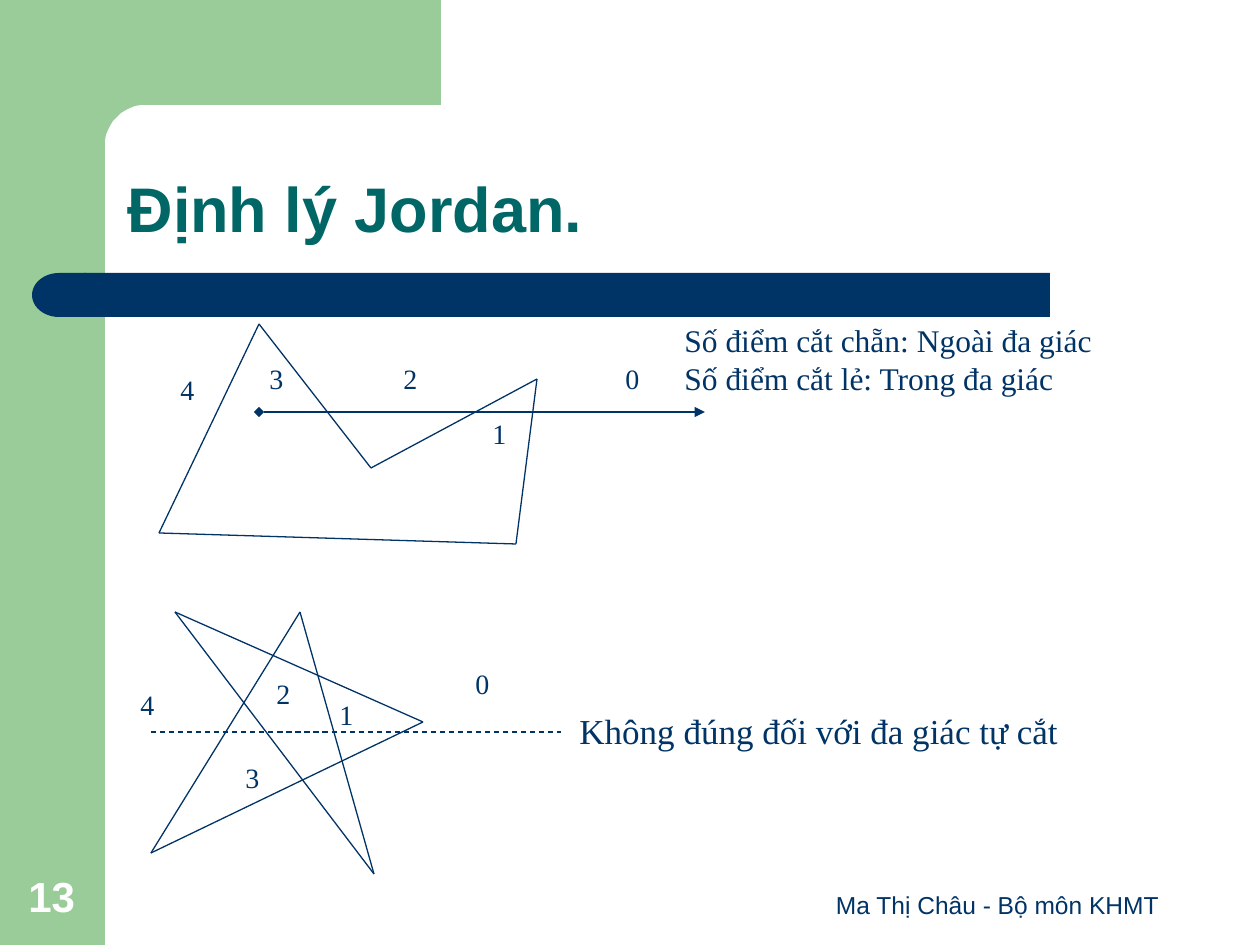
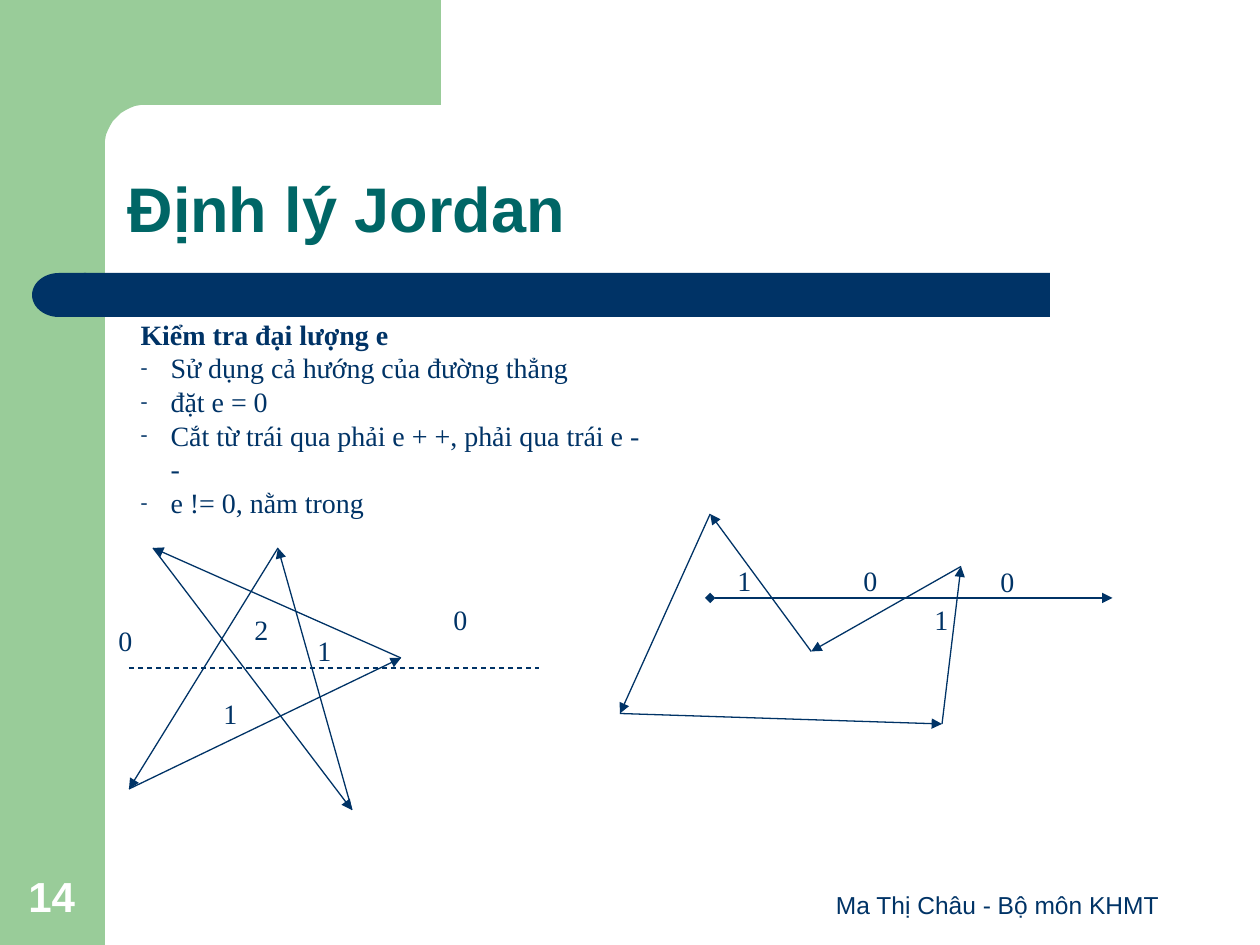
from math import cos, pi, sin

from pptx import Presentation
from pptx.dml.color import RGBColor
from pptx.enum.dml import MSO_LINE_DASH_STYLE as Dash
from pptx.enum.shapes import MSO_CONNECTOR as Connector, MSO_SHAPE as Preset
from pptx.enum.text import MSO_ANCHOR as Anchor, MSO_AUTO_SIZE as AutoSize, PP_ALIGN as Align
from pptx.oxml.ns import qn
from pptx.oxml.xmlchemy import OxmlElement
from pptx.util import Emu, Pt

EMU_PER_PX = 914400 / 126
NAVY = RGBColor(0x00, 0x33, 0x66)
TEAL = RGBColor(0x00, 0x66, 0x66)
GREEN = RGBColor(0x99, 0xCC, 0x99)
WHITE = RGBColor(0xFF, 0xFF, 0xFF)
SANS = "Arial"
SERIF = "Times New Roman"
FOOTER = "Ma Thị Châu - Bộ môn KHMT"
TITLE_ONLY, TITLE_AND_BODY = 5, 1
LABEL_SIZE = (39, 47)

STAR_POINTS = [(0, 241), (272, 110), (24, 0), (223, 262), (149, 0)]
STAR_LABEL_PLACES = [(312, 48), (176, 79), (113, 58), (82, 142), (-23, 69)]
STAR_RAY = [(0, 120), (410, 120)]
POLYGON_SIZE = (378, 220)
POLYGON_POINTS = [(0, 209), (357, 220), (378, 55), (212, 144), (100, 0)]
POLYGON_RAY = [(100, 88), (546, 88)]


def px(length):
    return Emu(round(length * EMU_PER_PX))


def style_text(text_frame, size, color, font=SERIF, bold=False):
    for paragraph in text_frame.paragraphs:
        for run in paragraph.runs:
            run.font.size = Pt(size)
            run.font.name = font
            run.font.bold = bold
            run.font.color.rgb = color


def place(shape, box):
    shape.left, shape.top, shape.width, shape.height = map(px, box)


def add_text(slide, box, text, size, color=NAVY, font=SERIF, bold=False,
             anchor=Anchor.TOP, align=Align.LEFT, wrap=False):
    text_frame = slide.shapes.add_textbox(*map(px, box)).text_frame
    text_frame.word_wrap = wrap
    text_frame.vertical_anchor = anchor
    text_frame.text = text
    for paragraph in text_frame.paragraphs:
        paragraph.alignment = align
    style_text(text_frame, size, color, font, bold)


def paint(shape, color):
    shape.shadow.inherit = False
    shape.fill.solid()
    shape.fill.fore_color.rgb = color
    shape.line.fill.background()


def add_block(slide, preset, box, color):
    shape = slide.shapes.add_shape(preset, *map(px, box))
    paint(shape, color)
    return shape


def add_line(slide, start, end, head=None, tail=None, dash=None):
    connector = slide.shapes.add_connector(Connector.STRAIGHT, *map(px, (*start, *end)))
    connector.line.color.rgb = NAVY
    connector.line.width = Pt(0.75)
    if dash:
        connector.line.dash_style = dash
    properties = connector._element.spPr
    outline = properties.find(qn("a:ln"))
    for tag, kind in (("a:headEnd", head), ("a:tailEnd", tail)):
        if kind:
            arrowhead = OxmlElement(tag)
            arrowhead.set("type", kind)
            outline.append(arrowhead)
    properties.append(OxmlElement("a:effectLst"))


def add_outline(slide, points, tail):
    for start, end in zip(points, points[1:] + points[:1]):
        add_line(slide, start, end, tail=tail)


def add_labels(slide, left, top, labels):
    for text, (x, y) in labels:
        add_text(slide, (left + x, top + y, *LABEL_SIZE), text, 16)


def add_star(slide, left, top, numbers, tail=None):
    def shift(points):
        return [(left + x, top + y) for x, y in points]

    add_outline(slide, shift(STAR_POINTS), tail)
    add_line(slide, *shift(STAR_RAY), dash=Dash.DASH)
    add_labels(slide, left, top, zip(numbers, STAR_LABEL_PLACES))


def add_polygon(slide, box, labels, tail=None):
    left, top, width, height = box
    full_width, full_height = POLYGON_SIZE

    def fit(points):
        return [(left + x * width / full_width, top + y * height / full_height)
                for x, y in points]

    add_outline(slide, fit(POLYGON_POINTS), tail)
    add_line(slide, *fit(POLYGON_RAY), head="diamond", tail="triangle")
    add_labels(slide, left, top, labels)


def add_corner(slide):
    center, radius, steps = 146, 41, 12
    angles = [pi / 2 * step / steps for step in range(steps + 1)]
    curve = [(center - radius * sin(angle), center - radius * cos(angle)) for angle in angles]
    builder = slide.shapes.build_freeform(441, 0, scale=EMU_PER_PX)
    builder.add_line_segments([(441, 105), *curve, (105, 161), (63, 161), (63, 0)])
    paint(builder.convert_to_shape(), GREEN)


def add_frame(slide, number):
    add_block(slide, Preset.RECTANGLE, (0, 0, 105, 945), GREEN)
    add_corner(slide)
    add_block(slide, Preset.RECTANGLE, (84, 273, 966, 44), NAVY)
    add_block(slide, Preset.FLOWCHART_DELAY, (32, 273, 54, 44), NAVY).rotation = 180
    add_text(slide, (798, 861, 399, 65), FOOTER, 14, font=SANS,
             anchor=Anchor.BOTTOM, align=Align.CENTER, wrap=True)
    add_text(slide, (16, 860, 81, 67), str(number), 24, WHITE, SANS, True,
             anchor=Anchor.BOTTOM, wrap=True)


def add_slide(presentation, layout, title, number):
    slide = presentation.slides.add_slide(presentation.slide_layouts[layout])
    add_frame(slide, number)
    place(slide.shapes.title, (115, 115, 1072, 137))
    text_frame = slide.shapes.title.text_frame
    text_frame.text = title
    text_frame.auto_size = AutoSize.NONE
    text_frame.vertical_anchor = Anchor.BOTTOM
    text_frame.paragraphs[0].alignment = Align.LEFT
    text_frame.paragraphs[0].line_spacing = 0.9
    style_text(text_frame, 36, TEAL, SANS, True)
    return slide


def set_bullet(paragraph, indent):
    properties = paragraph._p.get_or_add_pPr()
    properties.set("marL", str(px(indent)))
    properties.set("indent", str(-px(indent)))
    if not indent:
        properties.append(OxmlElement("a:buNone"))
        return
    color = OxmlElement("a:buClr")
    value = OxmlElement("a:srgbClr")
    value.set("val", str(NAVY))
    color.append(value)
    properties.append(color)
    for tag, name, setting in (("a:buSzPct", "val", "75000"),
                               ("a:buFont", "typeface", SERIF),
                               ("a:buChar", "char", "-")):
        element = OxmlElement(tag)
        element.set(name, setting)
        properties.append(element)


def fill_body(body, box, heading, items):
    place(body, box)
    text_frame = body.text_frame
    text_frame.text = "\n".join([heading, *items])
    text_frame.word_wrap = True
    text_frame.auto_size = AutoSize.NONE
    for index, paragraph in enumerate(text_frame.paragraphs):
        set_bullet(paragraph, 30 if index else 0)
        paragraph.space_before = Pt(0)
    style_text(text_frame, 16, NAVY)
    text_frame.paragraphs[0].runs[0].font.bold = True


def build_crossing_slide(presentation):
    slide = add_slide(presentation, TITLE_ONLY, "Định lý Jordan.", 13)
    add_text(slide, (567, 703, 504, 55), "Không đúng đối với đa giác tự cắt", 20)
    add_star(slide, 151, 612, "01234")
    add_text(slide, (672, 315, 450, 88),
             "Số điểm cắt chẵn: Ngoài đa giác\nSố điểm cắt lẻ: Trong đa giác", 18,
             wrap=True)
    add_polygon(slide, (159, 324, 378, 220),
                [("0", (454, 31)), ("1", (321, 86)), ("2", (232, 31)),
                 ("3", (98, 31)), ("4", (9, 42))])


def build_direction_slide(presentation):
    slide = add_slide(presentation, TITLE_AND_BODY, "Định lý Jordan", 14)
    fill_body(slide.placeholders[1], (128, 311, 530, 181), "Kiểm tra đại lượng e",
              ["Sử dụng cả hướng của đường thẳng",
               "đặt e = 0",
               "Cắt từ trái qua phải e + +, phải qua trái e - -",
               "e != 0, nằm trong"])
    add_polygon(slide, (620, 514, 341, 210),
                [("0", (368, 44)), ("1", (302, 82)), ("0", (231, 43)), ("1", (105, 43))],
                tail="triangle")
    add_star(slide, 129, 548, "01210", tail="triangle")


def main():
    presentation = Presentation()
    presentation.slide_width, presentation.slide_height = px(1260), px(945)
    build_crossing_slide(presentation)
    build_direction_slide(presentation)
    presentation.save("out.pptx")


if __name__ == "__main__":
    main()
